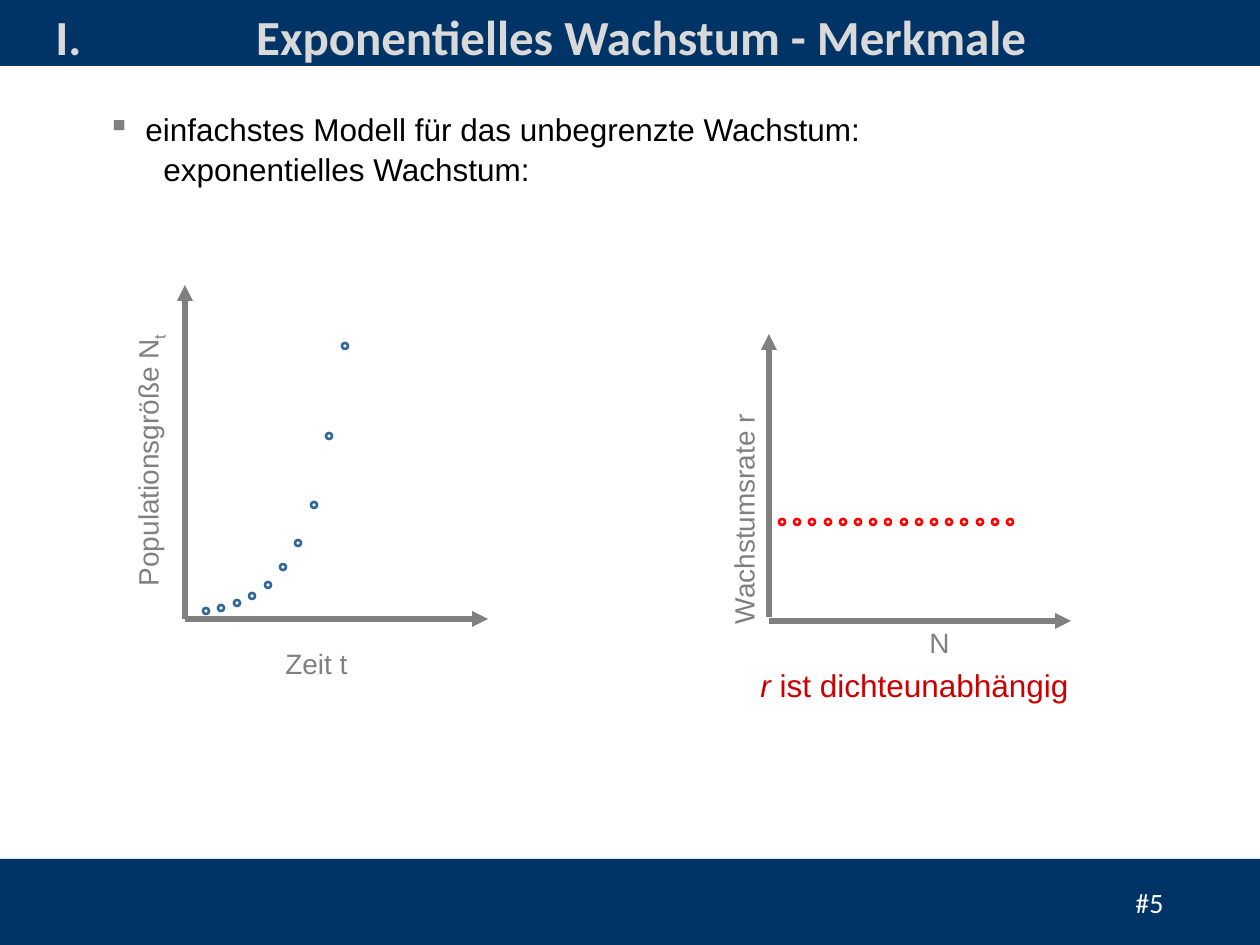
from lxml import etree
from pptx import Presentation
from pptx import util as u
from pptx.dml.color import RGBColor
from pptx.enum import shapes, text
from pptx.oxml.ns import qn

COLORS = {
    "navy": "003366",
    "white": "FFFFFF",
    "silver": "D9D9D9",
    "gray": "808080",
    "black": "000000",
    "crimson": "CC0000",
    "blue": "336699",
    "red": "FF0000",
}
PX = 914400 / 126
DOT = 6
GROWTH_HEIGHTS = [611, 608, 603, 596, 585, 567, 543, 505, 436, 346]
RATE_COUNT = 16


def px(length):
    """Turn pixels into EMU."""
    return u.Emu(round(length * PX))


def color(name):
    """Look up a named colour."""
    return RGBColor.from_string(COLORS[name])


def style(para, font, size, tint, bold=False):
    """Set the font of a whole paragraph."""
    para.font.name = font
    para.font.size = u.Pt(size)
    para.font.bold = bold
    para.font.color.rgb = color(tint)


def add_shape(page, kind, left, top, width, height):
    """Add a preset shape without a shadow."""
    shape = page.shapes.add_shape(kind, px(left), px(top), px(width), px(height))
    shape.shadow.inherit = False
    return shape


def add_bar(page, top, height):
    """Add a full-width band behind the title."""
    bar = add_shape(page, shapes.MSO_SHAPE.RECTANGLE, 0, top, 1260, height)
    bar.fill.solid()
    bar.fill.fore_color.rgb = color("navy")
    bar.line.fill.background()
    page.shapes.title.element.addprevious(bar.element)


def add_title(page, words):
    """Place and format the title placeholder."""
    title = page.shapes.title
    title.left, title.top, title.width, title.height = map(px, (95, 0, 1092, 106))
    frame = title.text_frame
    frame.text = words
    frame.auto_size = text.MSO_AUTO_SIZE.NONE
    frame.vertical_anchor = text.MSO_ANCHOR.TOP
    para = frame.paragraphs[0]
    para.alignment = text.PP_ALIGN.CENTER
    style(para, "Calibri", 28, "silver", bold=True)


def add_text(page, place, words, font, size, tint, bold=False, wrap=False, turn=0):
    """Add a one-paragraph text box and return the paragraph."""
    box = page.shapes.add_textbox(*map(px, place))
    box.rotation = turn
    box.text_frame.word_wrap = wrap
    para = box.text_frame.paragraphs[0]
    para.add_run().text = words
    style(para, font, size, tint, bold)
    return para


def indent(para, margin, first, bullet=None):
    """Set the left margin, first-line indent and optional bullet."""
    props = para._p.get_or_add_pPr()
    props.set("marL", str(px(margin)))
    props.set("indent", str(px(first)))
    if bullet:
        tint = etree.SubElement(props, qn("a:buClr"))
        etree.SubElement(tint, qn("a:srgbClr"), val=COLORS["gray"])
        etree.SubElement(props, qn("a:buChar"), char=bullet)


def add_statement(page):
    """Add the bulleted statement with its continuation line."""
    box = page.shapes.add_textbox(*map(px, (95, 102, 1081, 242)))
    frame = box.text_frame
    frame.word_wrap = True
    first, second = frame.paragraphs[0], frame.add_paragraph()
    first.text = "einfachstes Modell für das unbegrenzte Wachstum:"
    second.text = "exponentielles Wachstum:"
    indent(first, 38, -38, "▪")
    indent(second, 56, 0)
    for para in (first, second):
        para.line_spacing = 1.05
        style(para, "Arial", 18, "black")


def add_axis(page, start, end):
    """Add a gray axis with an arrowhead at its end."""
    axis = page.shapes.add_connector(
        shapes.MSO_CONNECTOR.STRAIGHT, *map(px, start + end))
    axis.line.color.rgb = color("gray")
    axis.line.width = u.Pt(3)
    etree.SubElement(axis.line._get_or_add_ln(), qn("a:tailEnd"), type="triangle")
    etree.SubElement(axis.element.spPr, qn("a:effectLst"))


def add_dots(page, start, step, heights, tint):
    """Add evenly spaced rings at the given heights."""
    for index, height in enumerate(heights):
        left = round(start + step * index) - DOT / 2
        dot = add_shape(page, shapes.MSO_SHAPE.OVAL, left, height - DOT / 2, DOT, DOT)
        dot.fill.background()
        dot.line.color.rgb = color(tint)
        dot.line.width = u.Pt(1.5)


def add_growth_plot(page):
    """Draw population size against time."""
    add_axis(page, (185, 619), (185, 285))
    add_axis(page, (185, 619), (488, 619))
    label = add_text(page, (6, 430, 287, 50), "Populationsgröße N",
                     "Arial", 16, "gray", turn=270)
    span = label.add_run()
    span.text = "t"
    span.font._element.set("baseline", "-25000")
    add_text(page, (273, 640, 92, 50), "Zeit t", "Arial", 16, "gray")
    add_dots(page, 206, 15.4, GROWTH_HEIGHTS, "blue")


def add_rate_plot(page):
    """Draw the constant growth rate against population size."""
    add_axis(page, (769, 621), (1071, 621))
    add_axis(page, (769, 617), (769, 334))
    add_text(page, (625, 494, 238, 47), "Wachstumsrate r",
             "Arial", 16, "gray", turn=270)
    add_text(page, (917, 619, 47, 50), "N", "Arial", 16, "gray")
    note = add_text(page, (748, 660, 451, 50), "r ", "Arial", 18, "crimson", wrap=True)
    note.runs[0].font.italic = True
    note.add_run().text = "ist dichteunabhängig"
    add_dots(page, 782, 15.2, [522] * RATE_COUNT, "red")


def main():
    """Build and save the slide."""
    deck = Presentation()
    deck.slide_width, deck.slide_height = px(1260), px(945)
    page = deck.slides.add_slide(deck.slide_layouts[5])
    add_bar(page, 0, 66)
    add_bar(page, 859, 86)
    add_title(page, "Exponentielles Wachstum - Merkmale")
    add_text(page, (43, 0, 52, 72), "I.", "Calibri", 28, "silver", bold=True)
    add_text(page, (1123, 879, 122, 47), "#5", "Calibri", 16, "white", wrap=True)
    add_statement(page)
    add_growth_plot(page)
    add_rate_plot(page)
    deck.save("out.pptx")


if __name__ == "__main__":
    main()
